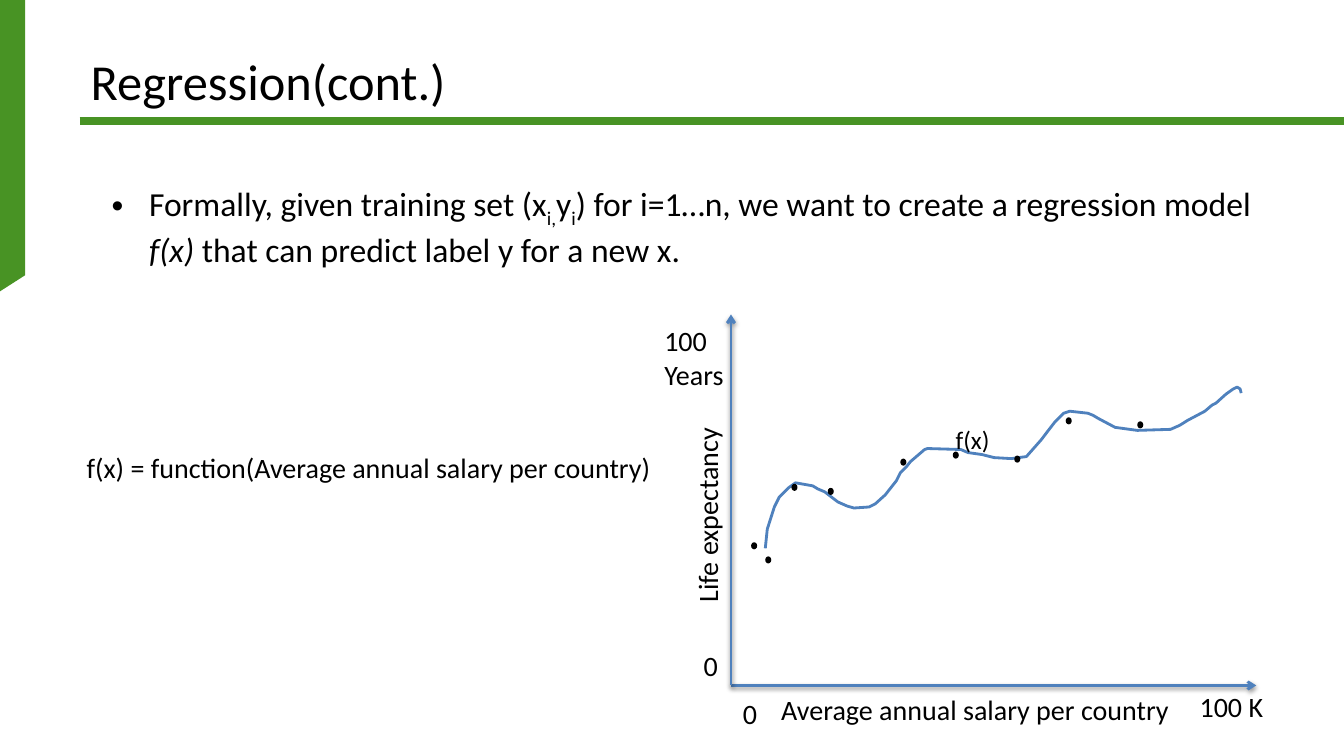
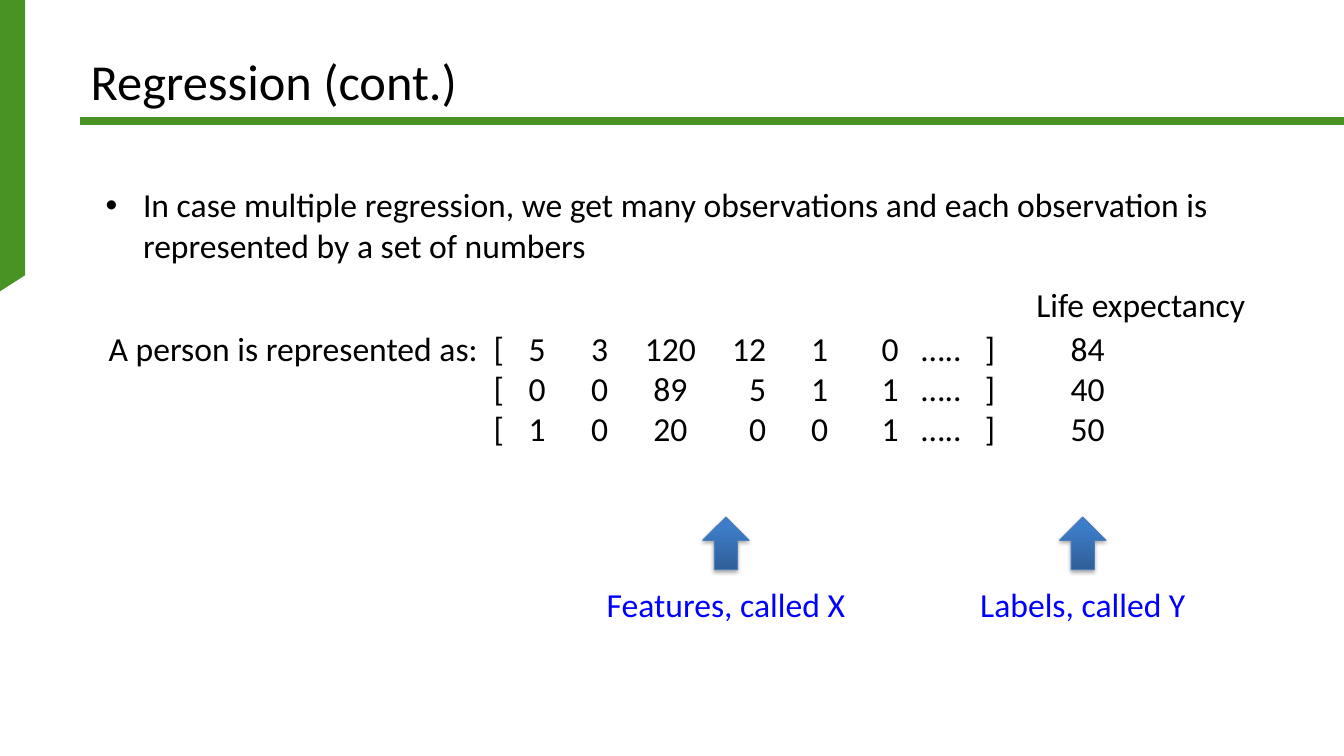
from dataclasses import dataclass

from lxml.etree import SubElement
from pptx import Presentation
from pptx.dml.color import RGBColor
from pptx.enum.shapes import MSO_CONNECTOR, MSO_SHAPE
from pptx.enum.text import MSO_ANCHOR, PP_ALIGN
from pptx.oxml.ns import qn
from pptx.util import Inches, Pt


@dataclass(frozen=True)
class Theme:
    font: str = "Calibri"
    black: RGBColor = RGBColor(0x00, 0x00, 0x00)
    green: RGBColor = RGBColor(0x48, 0x93, 0x24)
    plot_blue: RGBColor = RGBColor(0x4F, 0x81, 0xBD)
    label_blue: RGBColor = RGBColor(0x00, 0x00, 0xFF)
    arrow_dark: RGBColor = RGBColor(0x2F, 0x5F, 0x99)
    arrow_light: RGBColor = RGBColor(0x3D, 0x7C, 0xC7)
    arrow_edge: RGBColor = RGBColor(0x4B, 0x7E, 0xBC)
    title: int = 36
    body: int = 24
    chart: int = 20
    curve_label: int = 18


THEME = Theme()

CURVE = [
    (7.59, 5.44), (7.61, 5.25), (7.68, 5.03), (7.73, 4.93), (7.82, 4.84),
    (7.89, 4.79), (8.06, 4.82), (8.11, 4.85), (8.18, 4.88), (8.31, 4.98),
    (8.4, 5.02), (8.47, 5.04), (8.62, 5.03), (8.68, 5), (8.78, 4.91),
    (8.89, 4.77), (8.93, 4.69), (8.99, 4.63), (9.03, 4.58), (9.17, 4.46),
    (9.2, 4.45), (9.53, 4.46), (9.6, 4.49), (9.74, 4.51), (9.86, 4.54),
    (10.03, 4.55), (10.18, 4.53), (10.33, 4.36), (10.39, 4.28),
    (10.46, 4.19), (10.55, 4.1), (10.61, 4.08), (10.79, 4.1),
    (10.84, 4.12), (10.89, 4.15), (11.06, 4.24), (11.28, 4.27),
    (11.61, 4.26), (11.7, 4.22), (11.78, 4.17), (11.95, 4.08),
    (12.02, 4.02), (12.06, 4), (12.16, 3.91), (12.23, 3.86),
    (12.27, 3.84), (12.3, 3.86), (12.31, 3.9),
]
OBSERVATIONS = [
    (7.45, 5.38), (7.59, 5.52), (7.85, 4.8), (8.21, 4.84), (8.93, 4.55),
    (9.45, 4.48), (10.06, 4.52), (10.57, 4.14), (11.28, 4.18),
]
MATRIX_TABS = [
    (3.87, "ctr"), (4.25, "ctr"), (4.87, "ctr"), (5.57, "ctr"), (6.52, "r"),
    (7.05, "ctr"), (7.75, "ctr"), (8.26, "ctr"), (8.74, "ctr"), (9.71, "ctr"),
]
MATRIX_ROWS = [
    ("A person is represented as:", "5 3 120 12 1 0", "84"),
    ("", "0 0 89 5 1 1", "40"),
    ("", "1 0 20 0 0 1", "50"),
]


def format_paragraph(paragraph, size, color=THEME.black):
    paragraph.font.name = THEME.font
    paragraph.font.size = Pt(size)
    paragraph.font.color.rgb = color


def set_effects(shape, shadow_alpha=None):
    effects = SubElement(shape.element.spPr, qn("a:effectLst"))
    if shadow_alpha:
        shadow = SubElement(effects, qn("a:outerShdw"), blurRad=str(Pt(3.1)),
                            dist=str(Pt(1.6)), dir="5400000", rotWithShape="0")
        color = SubElement(shadow, qn("a:srgbClr"), val="000000")
        SubElement(color, qn("a:alpha"), val=str(shadow_alpha * 1000))


def add_line(slide, start, end, color, width):
    line = slide.shapes.add_connector(
        MSO_CONNECTOR.STRAIGHT, *(Inches(value) for value in (*start, *end)))
    line.line.color.rgb = color
    line.line.width = Pt(width)
    return line


def add_outline(slide, points, close):
    first, *others = [(Inches(x), Inches(y)) for x, y in points]
    builder = slide.shapes.build_freeform(*first)
    builder.add_line_segments(others, close=close)
    shape = builder.convert_to_shape()
    shape.shadow.inherit = False
    return shape


def add_text(slide, box, text, size, color=THEME.black, wrap=False,
             align=PP_ALIGN.LEFT):
    shape = slide.shapes.add_textbox(*(Inches(value) for value in box))
    frame = shape.text_frame
    frame.word_wrap = wrap
    frame.text = text
    for paragraph in frame.paragraphs:
        paragraph.alignment = align
        format_paragraph(paragraph, size, color)
    return shape


def add_bullet(slide, box, runs):
    shape = slide.shapes.add_textbox(*(Inches(value) for value in box))
    shape.text_frame.word_wrap = True
    paragraph = shape.text_frame.paragraphs[0]
    properties = paragraph._p.get_or_add_pPr()
    properties.set("marL", str(Inches(0.37)))
    properties.set("indent", str(-Inches(0.37)))
    SubElement(properties, qn("a:buFont"), typeface="Arial")
    SubElement(properties, qn("a:buChar"), char="•")
    format_paragraph(paragraph, THEME.body)
    for text, style in runs:
        run = paragraph.add_run()
        run.text = text
        if style == "italic":
            run.font.italic = True
        elif style == "subscript":
            run._r.get_or_add_rPr().set("baseline", "-25000")


def add_axis(slide, start, end):
    axis = add_line(slide, start, end, THEME.plot_blue, 2)
    SubElement(axis.line._get_or_add_ln(), qn("a:tailEnd"), type="arrow")
    set_effects(axis, shadow_alpha=38)


def add_dot(slide, left, top):
    dot = slide.shapes.add_shape(MSO_SHAPE.OVAL, Inches(left), Inches(top),
                                 Inches(0.06), Inches(0.07))
    dot.shadow.inherit = False
    dot.fill.solid()
    dot.fill.fore_color.rgb = THEME.black
    dot.line.fill.background()


def add_curve(slide):
    curve = add_outline(slide, CURVE, close=False)
    curve.fill.background()
    curve.line.color.rgb = THEME.plot_blue
    curve.line.width = Pt(2)


def add_matrix(slide):
    lines = ["\t".join([label, "[", *features.split(), "…..", "]", target])
             for label, features, target in MATRIX_ROWS]
    shape = slide.shapes.add_textbox(Inches(0.98), Inches(3.2),
                                     Inches(10.4), Inches(1.32))
    shape.text_frame.word_wrap = True
    shape.text_frame.text = "\n".join(lines)
    for paragraph in shape.text_frame.paragraphs:
        tabs = SubElement(paragraph._p.get_or_add_pPr(), qn("a:tabLst"))
        for position, align in MATRIX_TABS:
            SubElement(tabs, qn("a:tab"), pos=str(Inches(position)), algn=align)
        format_paragraph(paragraph, THEME.body)


def add_callout(slide, center, text):
    arrow = slide.shapes.add_shape(
        MSO_SHAPE.UP_ARROW, Inches(center - 0.23), Inches(5.13),
        Inches(0.46), Inches(0.52))
    arrow.fill.gradient()
    arrow.fill.gradient_angle = 90
    stops = ((0, THEME.arrow_dark), (0.8, THEME.arrow_light))
    for stop, (position, color) in zip(arrow.fill.gradient_stops, stops):
        stop.position = position
        stop.color.rgb = color
    arrow.line.color.rgb = THEME.arrow_edge
    arrow.line.width = Pt(0.75)
    set_effects(arrow, shadow_alpha=35)
    add_text(slide, (center - 1.3, 5.74, 2.6, 0.5), text, THEME.body,
             THEME.label_blue, align=PP_ALIGN.CENTER)


def decorate_layout(slide):
    band = add_outline(slide, [(0, 0), (0.25, 0), (0.25, 2.73), (0, 2.89)],
                       close=True)
    band.fill.solid()
    band.fill.fore_color.rgb = THEME.green
    band.line.fill.background()
    rule = add_line(slide, (0.79, 1.2), (13.33, 1.2), THEME.green, 6)
    set_effects(rule)
    for shape in (band, rule):
        slide.slide_layout.shapes.element.append(shape.element)


def add_titled_slide(presentation, text):
    slide = presentation.slides.add_slide(presentation.slide_layouts[5])
    title = slide.shapes.title
    title.left, title.top = Inches(0.9), Inches(0)
    title.width, title.height = Inches(11.65), Inches(1.11)
    frame = title.text_frame
    frame.margin_left = frame.margin_right = 0
    frame.margin_top = frame.margin_bottom = 0
    frame.vertical_anchor = MSO_ANCHOR.BOTTOM
    frame.text = text
    paragraph = frame.paragraphs[0]
    paragraph.alignment = PP_ALIGN.LEFT
    paragraph.line_spacing = 0.9
    format_paragraph(paragraph, THEME.title)
    return slide


def build_regression_plot(slide):
    add_bullet(slide, (1.01, 1.77, 11.51, 1.1), [
        ("Formally, given training set (x", None),
        ("i,", "subscript"),
        ("y", None),
        ("i", "subscript"),
        (") for i=1…n, we want to create a regression model ", None),
        ("f(x) ", "italic"),
        ("that can predict label y for a new x.", None),
    ])
    add_text(slide, (0.76, 4.42, 5.82, 0.44),
             "f(x) = function(Average annual salary per country)",
             THEME.chart, wrap=True)
    origin = (7.25, 6.8)
    add_axis(slide, origin, (12.46, 6.8))
    add_axis(slide, origin, (7.25, 3.12))
    for box, text in [
        ((7.27, 6.86, 0.34, 0.44), "0"),
        ((7.65, 6.82, 4.59, 0.44), "Average annual salary per country"),
        ((6.88, 6.38, 0.34, 0.44), "0"),
        ((6.49, 3.16, 0.8, 0.77), "100\nYears"),
        ((11.8, 6.79, 0.84, 0.44), "100 K"),
    ]:
        add_text(slide, box, text, THEME.chart)
    axis_label = add_text(slide, (6.01, 4.89, 2.01, 0.44), "Life expectancy",
                          THEME.chart, align=PP_ALIGN.CENTER)
    axis_label.rotation = 270
    add_curve(slide)
    add_text(slide, (9.38, 4.16, 0.54, 0.4), "f(x)", THEME.curve_label)
    for left, top in OBSERVATIONS:
        add_dot(slide, left, top)


def build_multiple_regression(slide):
    add_bullet(slide, (0.95, 1.78, 11.59, 1), [
        ("In case multiple regression, we get many observations and each "
         "observation is represented by a set of numbers", None),
    ])
    add_matrix(slide)
    add_text(slide, (10.18, 2.77, 2.3, 0.5), "Life expectancy", THEME.body)
    add_callout(slide, 7.2, "Features, called X")
    add_callout(slide, 10.74, "Labels, called Y")


def main():
    presentation = Presentation()
    presentation.slide_width = Inches(13.33)
    presentation.slide_height = Inches(7.5)
    plot_slide = add_titled_slide(presentation, "Regression(cont.)")
    decorate_layout(plot_slide)
    build_regression_plot(plot_slide)
    build_multiple_regression(
        add_titled_slide(presentation, "Regression (cont.)"))
    presentation.save("out.pptx")


if __name__ == "__main__":
    main()
